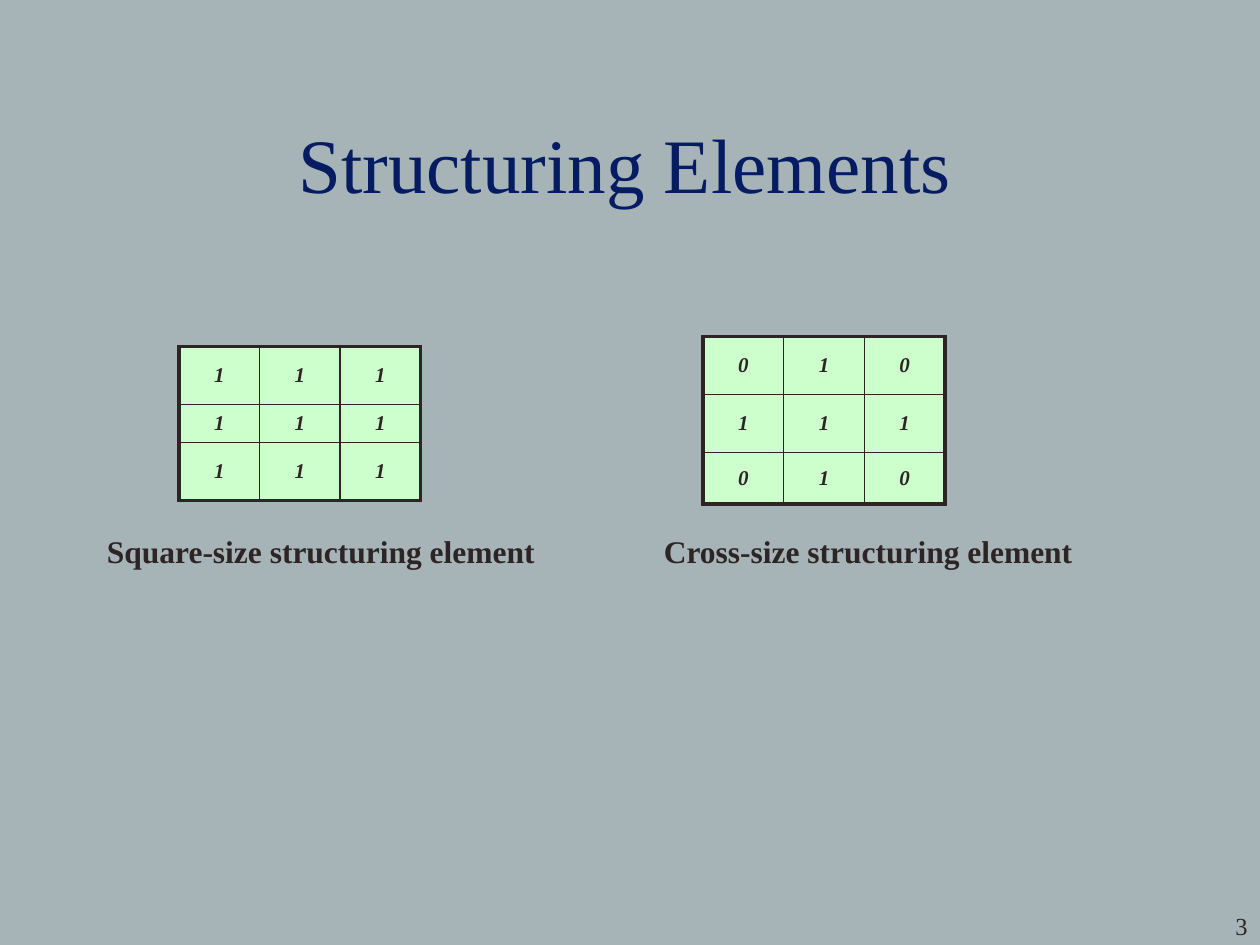
from lxml.etree import SubElement
from pptx import Presentation
from pptx.dml.color import RGBColor
from pptx.enum.text import MSO_ANCHOR, MSO_AUTO_SIZE, PP_ALIGN
from pptx.oxml.ns import qn
from pptx.util import Inches, Pt

FONT = "Times New Roman"
BACKGROUND = "A7B4B7"
NAVY = "061C62"
INK = "2D2525"
MINT = "CCFFCC"
OUTER_LINE = Pt(2.25)
INNER_LINE = Pt(1)
CELL_WIDTH = 0.64
FRAME_SIZE = 3.28


def paint(color_format, color):
    color_format.rgb = RGBColor.from_string(color)


def set_text(text_frame, text, size, color=INK, align=PP_ALIGN.LEFT, bold=False, italic=False):
    text_frame.text = text
    paragraph = text_frame.paragraphs[0]
    paragraph.alignment = align
    font = paragraph.runs[0].font
    font.name, font.size, font.bold, font.italic = FONT, Pt(size), bold, italic
    paint(font.color, color)


def add_title(slide, text):
    title = slide.shapes.title
    title.left, title.top = Inches(0.25), Inches(0.67)
    title.width, title.height = Inches(9.42), Inches(1.25)
    title.text_frame.vertical_anchor = MSO_ANCHOR.MIDDLE
    set_text(title.text_frame, text, 44, NAVY, PP_ALIGN.CENTER)


def add_label(slide, text, left, top, width, height, size, **style):
    label = slide.shapes.add_textbox(Inches(left), Inches(top), Inches(width), Inches(height))
    set_text(label.text_frame, text, size, **style)
    return label.text_frame


def add_caption(slide, text, left, width):
    caption = add_label(slide, text, left, 4.17, width, 0.4, 18, bold=True)
    caption.word_wrap = False
    caption.auto_size = MSO_AUTO_SIZE.SHAPE_TO_FIT_TEXT


def set_border(cell, side, width):
    properties = cell._tc.get_or_add_tcPr()
    line = SubElement(properties, qn(f"a:ln{side}"), w=str(width))
    fill = SubElement(line, qn("a:solidFill"))
    SubElement(fill, qn("a:srgbClr"), val=INK)


def format_cell(cell, value, edges):
    for side, is_outer in edges.items():
        set_border(cell, side, OUTER_LINE if is_outer else INNER_LINE)
    cell.fill.solid()
    paint(cell.fill.fore_color, MINT)
    cell.vertical_anchor = MSO_ANCHOR.MIDDLE
    set_text(cell.text_frame, value, 12, align=PP_ALIGN.CENTER, bold=True, italic=True)


def add_element_grid(slide, rows, row_heights, left, top):
    last_row, last_column = len(rows) - 1, len(rows[0]) - 1
    frame = slide.shapes.add_table(
        len(rows), len(rows[0]), Inches(left), Inches(top), Inches(FRAME_SIZE), Inches(FRAME_SIZE)
    )
    grid = frame.table
    for column in grid.columns:
        column.width = Inches(CELL_WIDTH)
    for row, height in zip(grid.rows, row_heights):
        row.height = Inches(height)
    frame.width = frame.height = Inches(FRAME_SIZE)
    for r, values in enumerate(rows):
        for c, value in enumerate(values):
            edges = {"L": c == 0, "R": c == last_column, "T": r == 0, "B": r == last_row}
            format_cell(grid.cell(r, c), value, edges)


def main():
    presentation = Presentation()
    presentation.slide_width, presentation.slide_height = Inches(10), Inches(7.5)
    slide = presentation.slides.add_slide(presentation.slide_layouts[5])
    slide.background.fill.solid()
    paint(slide.background.fill.fore_color, BACKGROUND)

    add_label(slide, "3", 8.33, 7.18, 1.67, 0.5, 14, align=PP_ALIGN.RIGHT).word_wrap = True
    add_title(slide, "Structuring Elements")
    add_element_grid(slide, ["111", "111", "111"], [0.46, 0.3, 0.46], 1.42, 2.75)
    add_caption(slide, "Square-size structuring element", 0.75, 3.6)
    add_element_grid(slide, ["010", "111", "010"], [0.46, 0.46, 0.41], 5.58, 2.67)
    add_caption(slide, "Cross-size structuring element", 5.17, 3.45)

    presentation.save("out.pptx")


if __name__ == "__main__":
    main()
